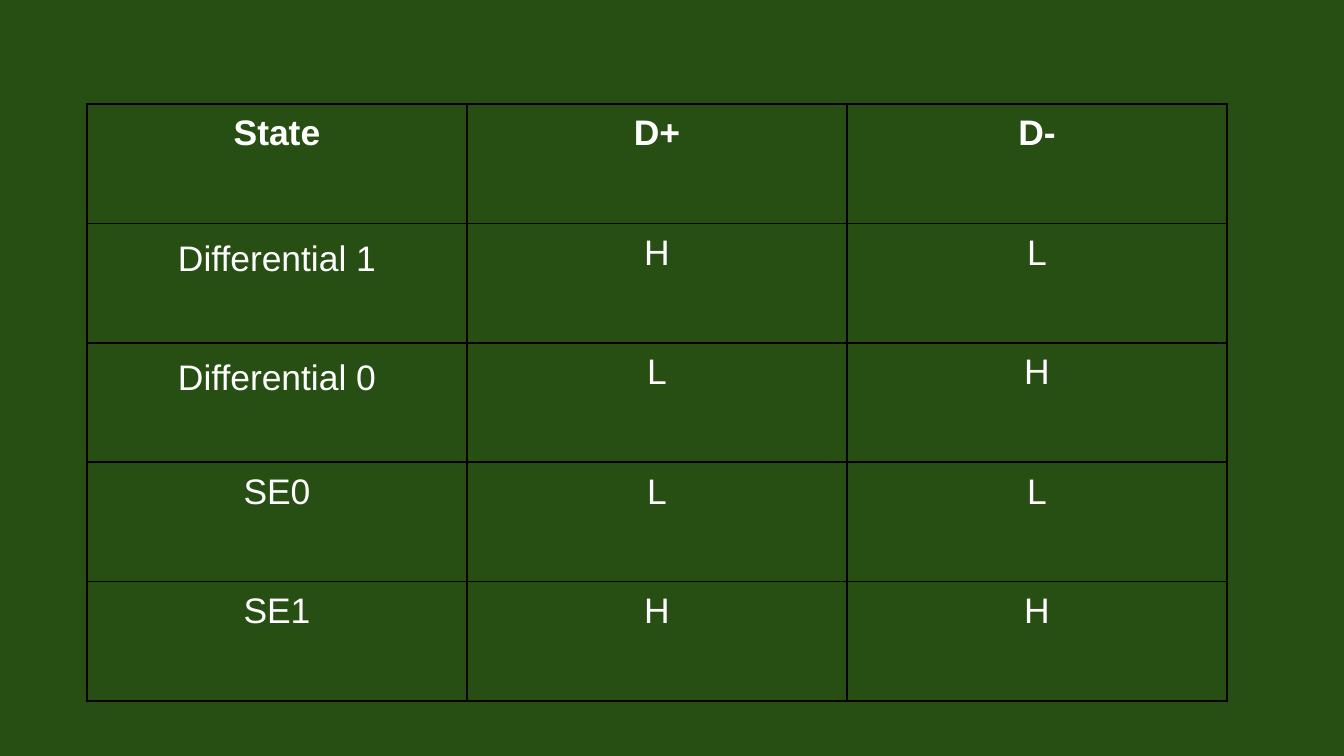
from dataclasses import dataclass

from lxml import etree
from pptx import Presentation
from pptx.dml.color import RGBColor
from pptx.enum.text import PP_ALIGN
from pptx.oxml.ns import qn
from pptx.util import Emu, Pt

CENTER = PP_ALIGN.CENTER
EMU_PER_PX = 914400 / 134.4
BLANK_LAYOUT = 6
BORDER_SIDES = ("a:lnL", "a:lnR", "a:lnT", "a:lnB")
HEADER = ("State", "D+", "D-")
STATES = (
    ("Differential 1", "H", "L"),
    ("Differential 0", "L", "H"),
    ("SE0", "L", "L"),
    ("SE1", "H", "H"),
)


@dataclass(frozen=True)
class Theme:
    background: str = "274E13"
    text: str = "FFFFFF"
    border: str = "000000"
    font: str = "Arial"
    text_size: int = 19
    border_width: int = 1
    loose_spacing: float = 1.15


def px(length):
    return Emu(round(length * EMU_PER_PX))


def write_text(frame, text, *, font, size, color, bold=False, align=CENTER, spacing=None):
    paragraph = frame.paragraphs[0]
    paragraph.alignment = align
    if spacing:
        paragraph.line_spacing = spacing
    run = paragraph.add_run()
    run.text = text
    run.font.name = font
    run.font.size = Pt(size)
    run.font.bold = bold
    run.font.color.rgb = RGBColor.from_string(color)


class SlideBuilder:
    def __init__(self, slide, theme):
        self.slide = slide
        self.theme = theme

    def background(self):
        fill = self.slide.background.fill
        fill.solid()
        fill.fore_color.rgb = RGBColor.from_string(self.theme.background)

    def borders(self, cell):
        properties = cell._tc.get_or_add_tcPr()
        for side in BORDER_SIDES:
            line = etree.SubElement(properties, qn(side), w=str(Pt(self.theme.border_width)))
            fill = etree.SubElement(line, qn("a:solidFill"))
            etree.SubElement(fill, qn("a:srgbClr"), val=self.theme.border)

    def cell(self, cell, text, *, bold, spacing):
        theme = self.theme
        margin = px(10)
        cell.margin_left = cell.margin_right = margin
        cell.margin_top = cell.margin_bottom = margin
        self.borders(cell)
        cell.fill.background()
        write_text(cell.text_frame, text, font=theme.font, size=theme.text_size,
                   color=theme.text, bold=bold, spacing=spacing)

    def table(self, rows, left, top, width, height):
        shape = self.slide.shapes.add_table(
            len(rows), len(rows[0]), px(left), px(top), px(width), px(height))
        table = shape.table
        table.first_row = False
        table.horz_banding = False
        for row_index, row in enumerate(rows):
            for column_index, text in enumerate(row):
                loose = text.startswith("Differential")
                self.cell(table.cell(row_index, column_index), text, bold=row_index == 0,
                          spacing=self.theme.loose_spacing if loose else None)


def main():
    presentation = Presentation()
    presentation.slide_width = px(1344)
    presentation.slide_height = px(756)
    slide = presentation.slides.add_slide(presentation.slide_layouts[BLANK_LAYOUT])
    builder = SlideBuilder(slide, Theme())
    builder.background()
    builder.table((HEADER, *STATES), left=87, top=104, width=1140, height=597)
    presentation.save("out.pptx")


if __name__ == "__main__":
    main()
